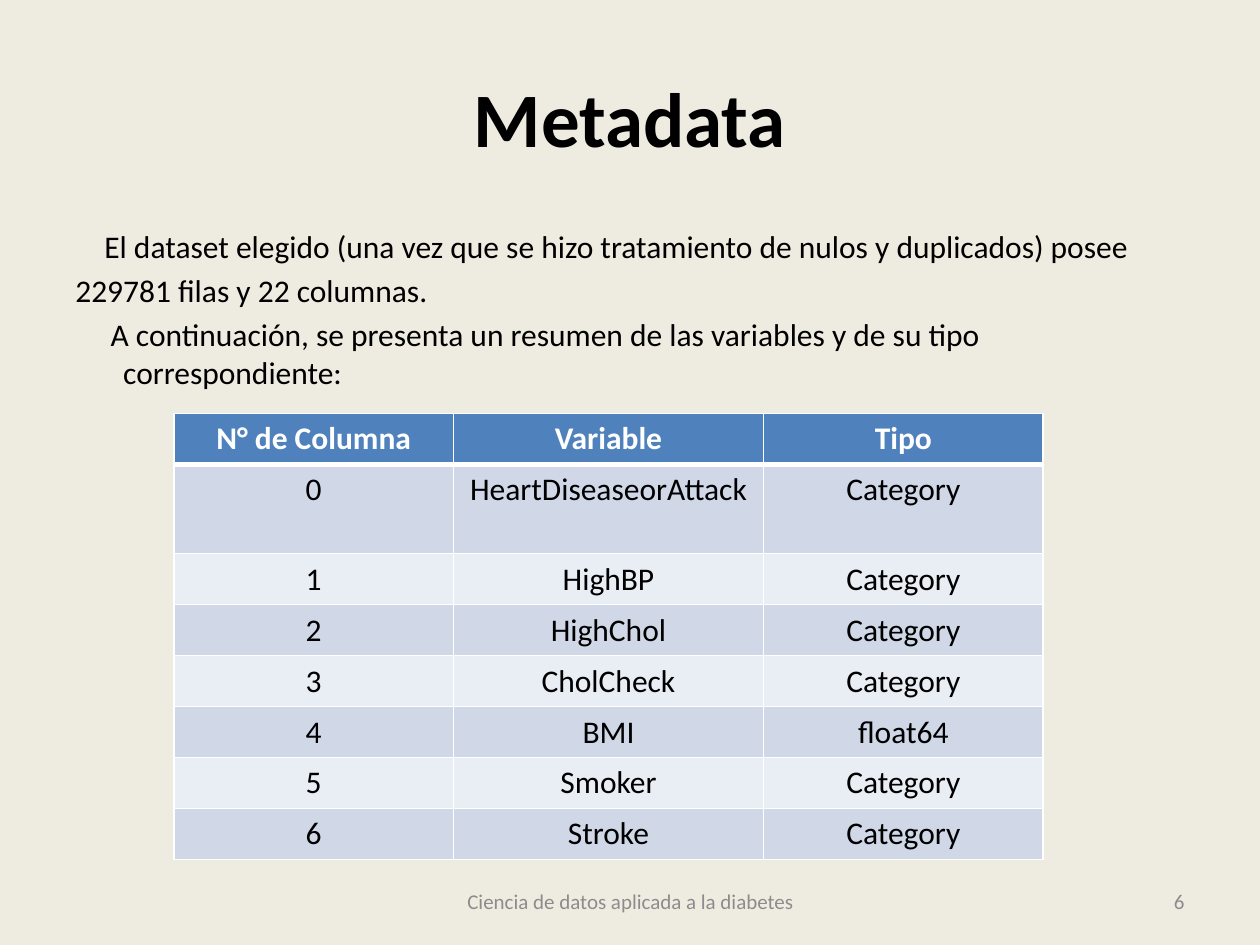
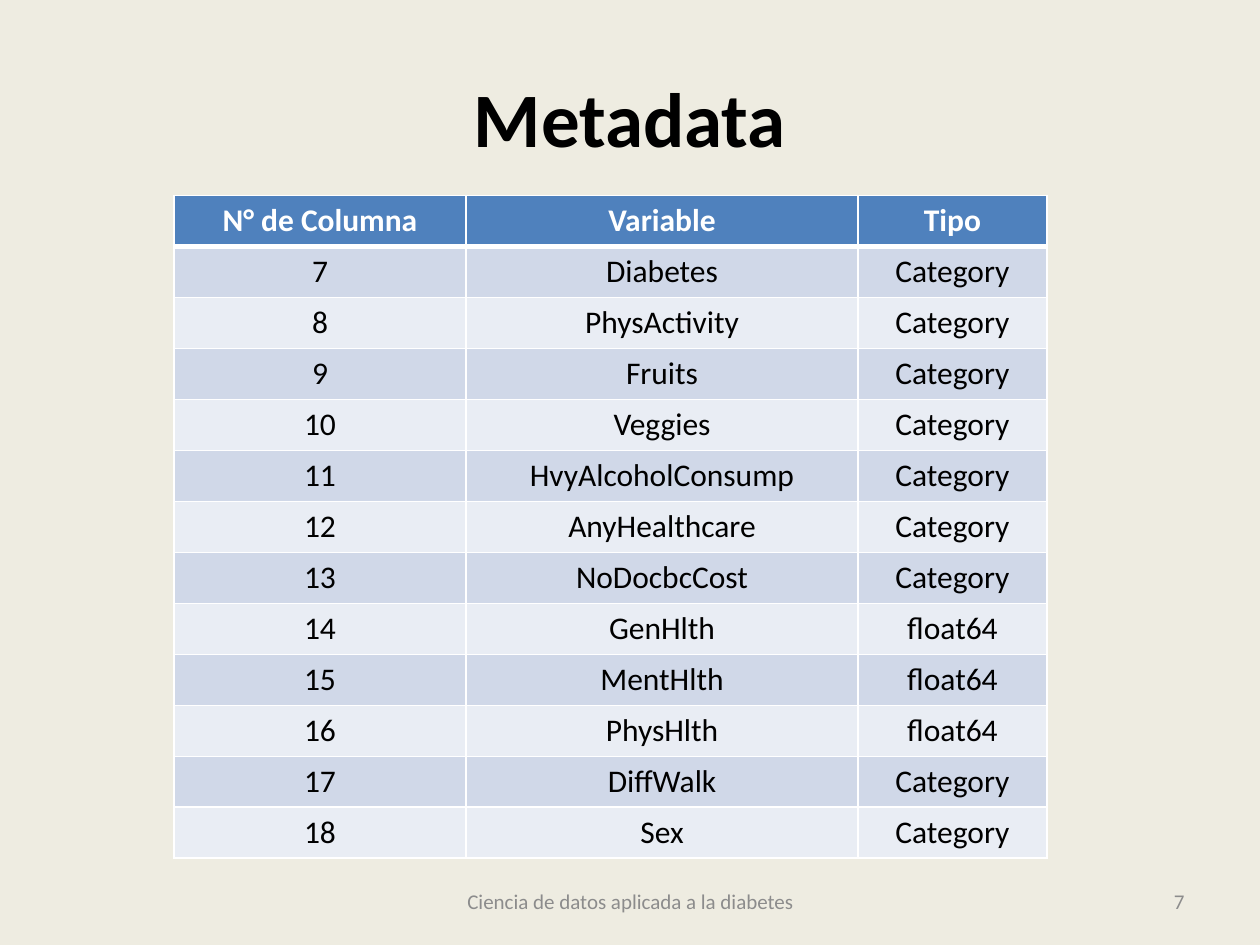
from dataclasses import dataclass
from lxml.etree import SubElement as Sub
from pptx import Presentation as Deck
from pptx.dml.color import RGBColor as Rgb
from pptx.enum.text import MSO_ANCHOR as Anchor, PP_ALIGN as Align
from pptx.oxml.ns import qn
from pptx.util import Inches, Pt


@dataclass(frozen=True)
class Theme:
    font: str = "Calibri"
    paper: str = "EEECE1"
    ink: str = "000000"
    muted: str = "8C8C8C"
    white: str = "FFFFFF"
    head: str = "4F81BD"
    bands: tuple = ("D0D8E8", "E9EDF4")
    title: int = 44
    body: int = 18
    small: int = 12
    thin: int = 1
    thick: int = 3


COLS, ROWS = 100, 75
LINE = 4.05  # rows taken by one table line
LABELS = ("N° de Columna", "Variable", "Tipo")
FOOTER = "Ciencia de datos aplicada a la diabetes"
FLOATS = {"BMI", "GenHlth", "MentHlth", "PhysHlth"}

# Each paragraph with its first-line offset in inches from the left edge
INTRO = (
    ("El dataset elegido (una vez que se hizo tratamiento de nulos "
     "y duplicados) posee", 0.23),
    ("229781 filas y 22 columnas.", 0),
    ("A continuación, se presenta un resumen de las variables "
     "y de su tipo correspondiente:", 0.28),
)
HANG = 0.38

FIRST = ("HeartDiseaseorAttack", "HighBP", "HighChol", "CholCheck", "BMI",
         "Smoker", "Stroke")
SECOND = ("Diabetes", "PhysActivity", "Fruits", "Veggies",
          "HvyAlcoholConsump", "AnyHealthcare", "NoDocbcCost", "GenHlth",
          "MentHlth", "PhysHlth", "DiffWalk", "Sex")


def write(para, text, *, theme, size, color, bold=False, align=Align.LEFT,
          first=None, before=0):
    """Fill a paragraph; first sets the first-line offset of a hanging text."""
    run = para.add_run()
    run.text = text
    font = run.font
    font.name, font.size, font.bold = theme.font, Pt(size), bold
    font.color.rgb = Rgb.from_string(color)
    para.alignment = align
    para.space_before = Pt(before)
    if first is not None:
        props = para._p.get_or_add_pPr()
        props.set("marL", str(Inches(HANG)))
        props.set("indent", str(Inches(first - HANG)))


def edge(cell, side, color, width):
    """Draw one border of a cell; side is L, R, T or B."""
    line = Sub(cell._tc.get_or_add_tcPr(), qn("a:ln" + side), w=str(Pt(width)))
    fill = Sub(line, qn("a:solidFill"))
    Sub(fill, qn("a:srgbClr"), val=color)


class Maker:
    def __init__(self, deck, theme):
        self.deck, self.theme, self.slide = deck, theme, None

    def across(self, cols):
        return round(self.deck.slide_width * cols / COLS)

    def down(self, rows):
        return round(self.deck.slide_height * rows / ROWS)

    def box(self, left, top, width, height, anchor=Anchor.MIDDLE):
        shape = self.slide.shapes.add_textbox(
            self.across(left), self.down(top),
            self.across(width), self.down(height))
        frame = shape.text_frame
        frame.word_wrap = True
        frame.vertical_anchor = anchor
        return frame

    def page(self, title, number):
        """Start a slide with its background, title and footer."""
        look = self.theme
        self.slide = self.deck.slides.add_slide(self.deck.slide_layouts[6])
        fill = self.slide.background.fill
        fill.solid()
        fill.fore_color.rgb = Rgb.from_string(look.paper)
        write(self.box(5, 3, 90, 12.5).paragraphs[0], title, theme=look,
              size=look.title, color=look.ink, bold=True, align=Align.CENTER)
        for text, left, width, align in (
                (FOOTER, 34.2, 31.7, Align.CENTER),
                (str(number), 71.7, 23.3, Align.RIGHT)):
            write(self.box(left, 69.5, width, 4).paragraphs[0], text,
                  theme=look, size=look.small, color=look.muted, align=align)

    def prose(self, items):
        look = self.theme
        frame = self.box(5, 17.5, 90, 49.5, Anchor.TOP)
        for i, (text, first) in enumerate(items):
            para = frame.add_paragraph() if i else frame.paragraphs[0]
            write(para, text, theme=look, size=look.body, color=look.ink,
                  first=first, before=look.body * 0.2)

    def cell(self, cell, text, row):
        look = self.theme
        head = row == 0
        for side in "LRTB":
            heavy = (row, side) in ((0, "B"), (1, "T"))
            edge(cell, side, look.white, look.thick if heavy else look.thin)
        cell.fill.solid()
        tone = look.head if head else look.bands[(row - 1) % 2]
        cell.fill.fore_color.rgb = Rgb.from_string(tone)
        write(cell.text_frame.paragraphs[0], text, theme=look, size=look.body,
              color=look.white if head else look.ink, bold=head,
              align=Align.CENTER)

    def table(self, top, widths, names, start, tall=None):
        """List the variables from number start; tall maps a row to its height."""
        rows = [LABELS] + [
            (str(i), name, "float64" if name in FLOATS else "Category")
            for i, name in enumerate(names, start)]
        sizes = [(tall or {}).get(i, LINE) for i in range(len(rows))]
        grid = self.slide.shapes.add_table(
            len(rows), len(LABELS), self.across(13.8), self.down(top),
            self.across(sum(widths)), self.down(sum(sizes))).table
        grid.horz_banding = False
        for col, width in zip(grid.columns, widths):
            col.width = self.across(width)
        for r, (texts, size) in enumerate(zip(rows, sizes)):
            grid.rows[r].height = self.down(size)
            for c, text in enumerate(texts):
                self.cell(grid.cell(r, c), text, r)


def main():
    deck = Deck()
    deck.slide_width, deck.slide_height = Inches(10), Inches(7.5)
    make = Maker(deck, Theme())

    make.page("Metadata", 6)
    make.prose(INTRO)
    make.table(32.8, (22.2, 24.6, 22.2), FIRST, 0, tall={1: 7.1})

    make.page("Metadata", 7)
    make.table(15.5, (23.2, 31.1, 15), SECOND, len(FIRST))

    deck.save("out.pptx")


if __name__ == "__main__":
    main()
